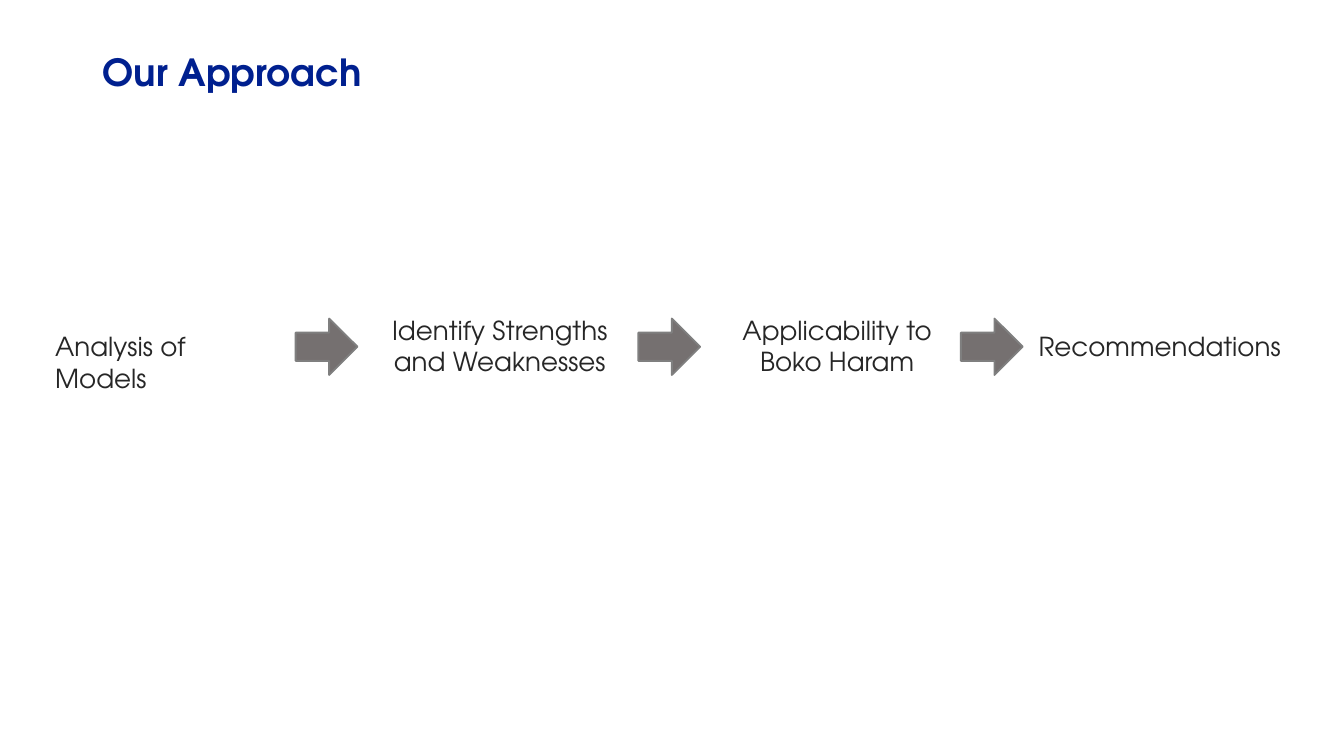
from pptx import Presentation
from pptx.dml.color import RGBColor
from pptx.enum import shapes, text
from pptx.util import Inches, Pt


def style_text(shape, content, size, color, alignment, bold=False):
    frame = shape.text_frame
    frame.word_wrap = True
    frame.auto_size = text.MSO_AUTO_SIZE.NONE
    frame.margin_left = frame.margin_right = Inches(0.07)
    frame.margin_top = frame.margin_bottom = Inches(0.04)
    frame.text = content
    paragraph = frame.paragraphs[0]
    paragraph.alignment = alignment
    paragraph.font.name = "TeX Gyre Adventor"
    paragraph.font.size = Pt(size)
    paragraph.font.bold = bold
    paragraph.font.color.rgb = RGBColor.from_string(color)


LEFT, CENTER = text.PP_ALIGN.LEFT, text.PP_ALIGN.CENTER

presentation = Presentation()
presentation.slide_width = Inches(10)
presentation.slide_height = presentation.slide_width * 9 // 16
slide = presentation.slides.add_slide(presentation.slide_layouts[5])

title = slide.shapes.title
title.left, title.top = Inches(0.69), Inches(0.36)
title.width, title.height = Inches(2.45), Inches(0.39)
style_text(title, "Our Approach", 20, "00208F", LEFT, bold=True)
title.text_frame.vertical_anchor = text.MSO_ANCHOR.MIDDLE
title.text_frame.paragraphs[0].line_spacing = 0.9

# Label, left, top, width, height, alignment
steps = [
    ("Analysis of Models", 0.34, 2.42, 1.8, 0.3, LEFT),
    ("Identify Strengths and Weaknesses", 2.79, 2.3, 1.86, 0.53, CENTER),
    ("Applicability to Boko Haram", 5.3, 2.3, 1.86, 0.53, CENTER),
    ("Recommendations", 7.61, 2.42, 2.04, 0.3, CENTER),
]
for label, left, top, width, height, alignment in steps:
    step = slide.shapes.add_textbox(
        Inches(left), Inches(top), Inches(width), Inches(height))
    style_text(step, label, 14, "262626", alignment)

for left in (2.2, 4.75, 7.15):
    arrow = slide.shapes.add_shape(
        shapes.MSO_SHAPE.RIGHT_ARROW,
        Inches(left), Inches(2.37), Inches(0.46), Inches(0.42))
    arrow.shadow.inherit = False
    arrow.fill.solid()
    arrow.fill.fore_color.rgb = RGBColor.from_string("757070")
    arrow.line.color.rgb = RGBColor.from_string("7F7F7F")
    arrow.line.width = Pt(1)

presentation.save("out.pptx")
